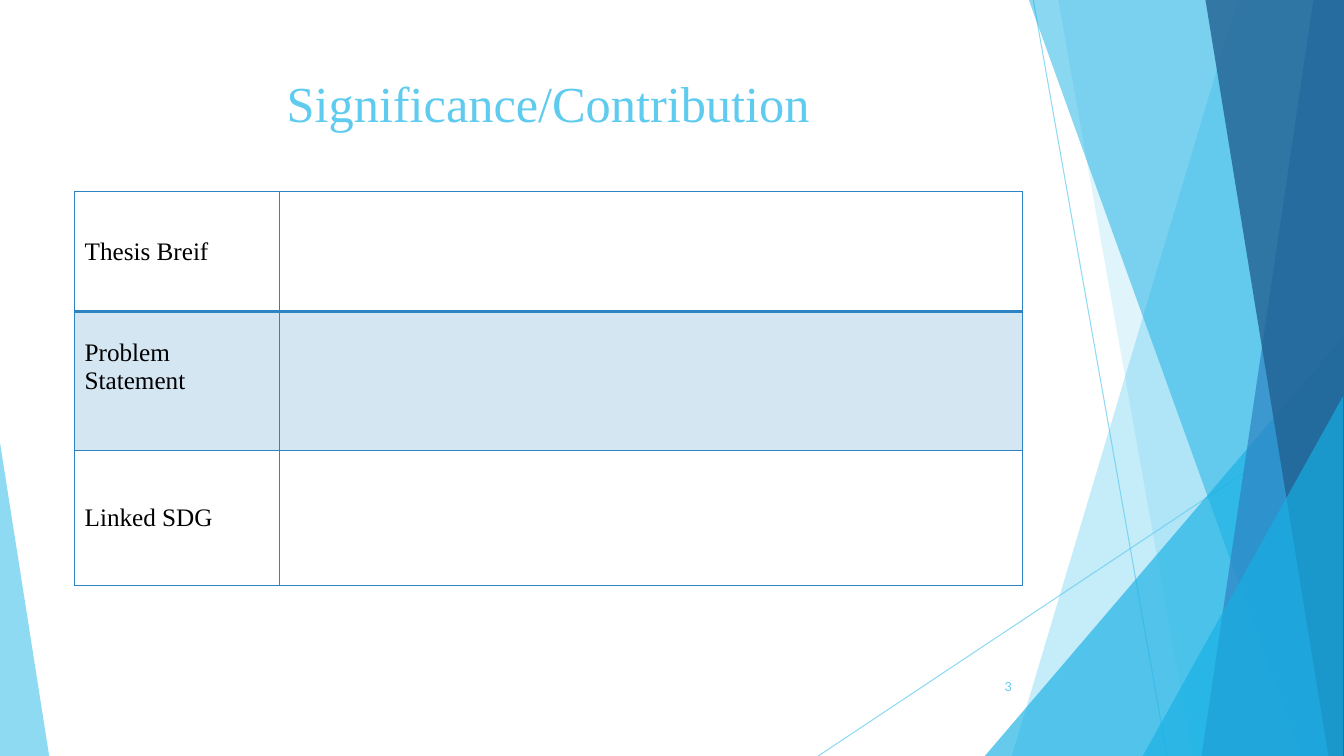
from lxml import etree
from pptx import Presentation
from pptx.dml.color import RGBColor
from pptx.enum import shapes, text
from pptx.oxml.ns import qn
from pptx.util import Cm, Pt

SKY = RGBColor(0x5F, 0xCB, 0xEF)
CYAN = RGBColor(0x17, 0xB0, 0xE4)
BLUE = RGBColor(0x2E, 0x83, 0xC3)
NAVY = RGBColor(0x22, 0x62, 0x92)
BLACK = RGBColor(0, 0, 0)
SERIF = "Times New Roman"

# Content
HEADING = "Significance/Contribution"
PAGE_NUMBER = "3"
TOPICS = ["Thesis Breif", "Problem Statement", "Linked SDG"]
ROW_HEIGHTS = [3.02, 3.51, 3.4]
COLUMN_WIDTHS = [5.16, 18.72]
SHADED_ROW = 1

# Decoration, in cm and percent opacity
WIDTH, HEIGHT = 33.87, 19.05
RAYS = [(26.04, 0, 29.41, HEIGHT), (WIDTH, 10.24, 20.62, HEIGHT)]
# A band reaches from its slanted left edge (top x, bottom x) to the right side;
# a wedge is a triangle (left, top, width, height, apex position).
FACETS = [
    ("band", (31.19, 25.5), SKY, 36),
    ("band", (26.67, 30.05), SKY, 20),
    ("wedge", (24.82, 8.46, 9.05, 10.59, 1), CYAN, 66),
    ("band", (25.93, 32.79), CYAN, 50),
    ("band", (33.1, 30.28), BLUE, 70),
    ("band", (30.38, 33.48), NAVY, 80),
    ("wedge", (28.8, 9.98, 5.05, 9.07, 1), CYAN, 66),
    ("wedge", (0, 11.15, 1.24, 7.9, 0), SKY, 70),
]


def set_opacity(element, percent):
    color = next(element.iter(qn("a:srgbClr")))
    etree.SubElement(color, qn("a:alpha")).set("val", str(percent * 1000))


def add_ray(slide, ends):
    ray = slide.shapes.add_connector(shapes.MSO_CONNECTOR.STRAIGHT, *map(Cm, ends))
    ray.line.color.rgb = SKY
    ray.line.width = Pt(0.75)
    set_opacity(ray.line._ln, 70)
    etree.SubElement(ray._element.spPr, qn("a:effectLst"))


def add_facet(slide, kind, geometry, color, opacity):
    if kind == "band":
        top_x, bottom_x = geometry
        outline = slide.shapes.build_freeform(Cm(top_x), 0)
        corners = [(WIDTH, 0), (WIDTH, HEIGHT), (bottom_x, HEIGHT)]
        outline.add_line_segments([(Cm(x), Cm(y)) for x, y in corners], close=True)
        facet = outline.convert_to_shape()
    else:
        *box, apex = geometry
        facet = slide.shapes.add_shape(
            shapes.MSO_SHAPE.ISOSCELES_TRIANGLE, *map(Cm, box))
        facet.adjustments[0] = apex
    facet.shadow.inherit = False
    facet.line.fill.background()
    facet.fill.solid()
    facet.fill.fore_color.rgb = color
    set_opacity(facet._element.spPr, opacity)


def add_border(cell, side, points):
    border = etree.SubElement(cell._tc.get_or_add_tcPr(), qn(f"a:ln{side}"),
                              w=str(Pt(points)))
    fill = etree.SubElement(border, qn("a:solidFill"))
    etree.SubElement(fill, qn("a:srgbClr"), val=str(BLUE))


def style(paragraph, font_name, size, color, alignment):
    paragraph.font.name = font_name
    paragraph.font.size = Pt(size)
    paragraph.font.color.rgb = color
    paragraph.alignment = alignment


def add_topics(slide):
    topics = slide.shapes.add_table(
        len(TOPICS), len(COLUMN_WIDTHS), Cm(1.88), Cm(4.83),
        Cm(sum(COLUMN_WIDTHS)), Cm(sum(ROW_HEIGHTS))).table
    topics.first_row = topics.horz_banding = False
    for column, width in zip(topics.columns, COLUMN_WIDTHS):
        column.width = Cm(width)
    for r, (topic, height) in enumerate(zip(TOPICS, ROW_HEIGHTS)):
        topics.rows[r].height = Cm(height)
        topics.cell(r, 0).text = topic
        for cell in topics.rows[r].cells:
            cell.vertical_anchor = text.MSO_ANCHOR.MIDDLE
            style(cell.text_frame.paragraphs[0], SERIF, 18, BLACK, text.PP_ALIGN.LEFT)
            for side in "LRTB":
                heavy = (r, side) in [(0, "B"), (1, "T")]
                add_border(cell, side, 2 if heavy else 1)
            if r == SHADED_ROW:
                cell.fill.solid()
                cell.fill.fore_color.rgb = BLUE
                set_opacity(cell._tc.tcPr.find(qn("a:solidFill")), 20)
            else:
                cell.fill.background()
    # The shaded topic sits a little above the middle of its row
    topics.cell(SHADED_ROW, 0).margin_bottom = Cm(0.84)


def main():
    deck = Presentation()
    deck.slide_width, deck.slide_height = Cm(WIDTH), Cm(HEIGHT)
    slide = deck.slides.add_slide(deck.slide_layouts[5])

    # Background facets
    for ray in RAYS:
        add_ray(slide, ray)
    for facet in FACETS:
        add_facet(slide, *facet)

    # Title
    title = slide.shapes.title
    title.left, title.top, title.width, title.height = map(Cm, (1.88, 1.7, 23.88, 3.66))
    title.text_frame.text = HEADING
    title.text_frame.vertical_anchor = text.MSO_ANCHOR.TOP
    style(title.text_frame.paragraphs[0], SERIF, 36, SKY, text.PP_ALIGN.CENTER)

    # Table
    add_topics(slide)

    # Page number
    page = slide.shapes.add_textbox(*map(Cm, (23.85, 16.79, 1.9, 1.02))).text_frame
    page.word_wrap = True
    page.vertical_anchor = text.MSO_ANCHOR.MIDDLE
    page.text = PAGE_NUMBER
    style(page.paragraphs[0], "Lato", 9, SKY, text.PP_ALIGN.RIGHT)

    deck.save("out.pptx")


if __name__ == "__main__":
    main()
